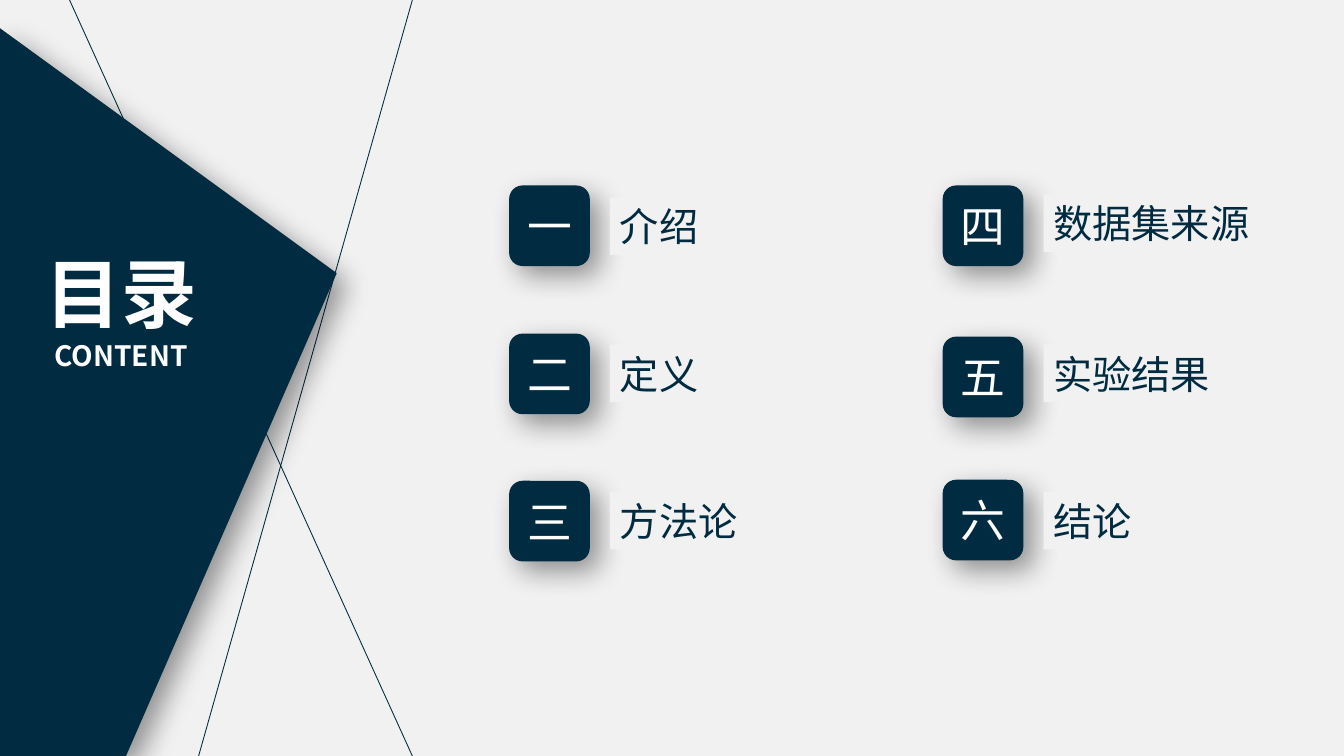
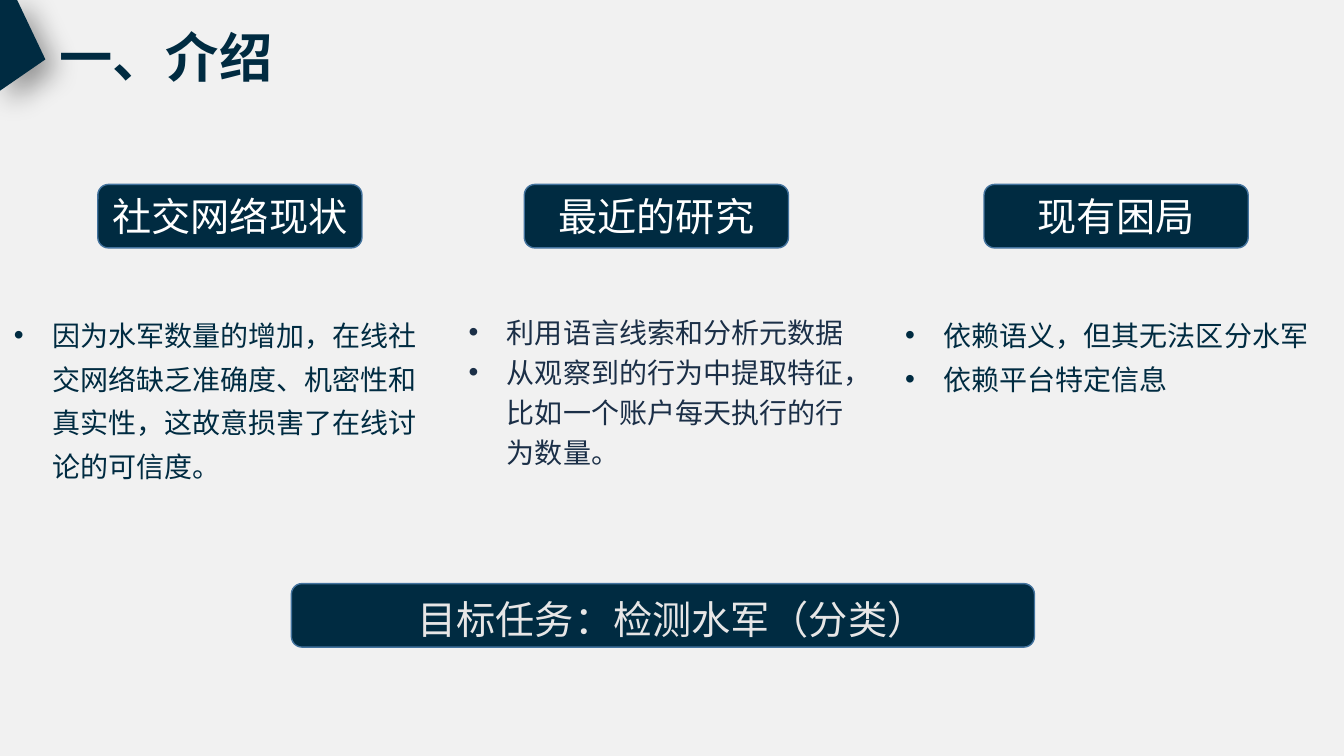
"""Build a contents slide and an introduction slide for a talk on detecting paid posters."""
from dataclasses import dataclass

from lxml import etree
from pptx import Presentation
from pptx.dml.color import RGBColor
from pptx.enum.shapes import MSO_CONNECTOR, MSO_SHAPE
from pptx.enum.text import MSO_ANCHOR, PP_ALIGN
from pptx.oxml import parse_xml
from pptx.oxml.ns import nsdecls, qn
from pptx.util import Inches, Pt

RECTANGLE, ROUNDED = MSO_SHAPE.RECTANGLE, MSO_SHAPE.ROUNDED_RECTANGLE
STRAIGHT = MSO_CONNECTOR.STRAIGHT
TOP, MIDDLE = MSO_ANCHOR.TOP, MSO_ANCHOR.MIDDLE
LEFT, CENTER = PP_ALIGN.LEFT, PP_ALIGN.CENTER


@dataclass(frozen=True)
class Theme:
    navy: str = "002B41"
    ink: str = "1B2F47"
    paper: str = "F1F1F1"
    white: str = "FFFFFF"
    silver: str = "E7E6E6"
    edge: str = "43739E"
    font: str = "Noto Sans CJK SC"
    number_font: str = "Calibri"
    cover: int = 54
    title: int = 38
    number: int = 32
    heading: int = 28
    body: int = 20


THEME = Theme()
WIDTH, HEIGHT = 13.33, 7.5
NO_INSETS = {"margin_left": 0, "margin_right": 0, "margin_top": 0, "margin_bottom": 0}
SHADOW = (
    f'<a:outerShdw {nsdecls("a")} blurRad="{Pt(20)}" dist="{Pt(10)}" dir="2700000" '
    'algn="tl" rotWithShape="0"><a:srgbClr val="000000"><a:alpha val="40000"/>'
    "</a:srgbClr></a:outerShdw>"
)


def paint(shape, fill=THEME.navy, edge=None, shadow=False):
    """Give a shape its fill, outline and shadow."""
    shape.fill.solid()
    shape.fill.fore_color.rgb = RGBColor.from_string(fill)
    if edge:
        shape.line.color.rgb = RGBColor.from_string(edge)
        shape.line.width = Pt(1)
    else:
        shape.line.fill.background()
    shape.shadow.inherit = False
    if shadow:
        shape.element.spPr.find(qn("a:effectLst")).append(parse_xml(SHADOW))


def write(shape, lines, color, font=THEME.font, bold=False, alignment=LEFT,
          spacing=None, bullet=False, **frame_format):
    """Fill a shape with (text, size) lines in one style."""
    frame = shape.text_frame
    for name, value in {"word_wrap": True, "vertical_anchor": MIDDLE, **frame_format}.items():
        setattr(frame, name, value)
    for index, (text, size) in enumerate(lines):
        paragraph = frame.add_paragraph() if index else frame.paragraphs[0]
        paragraph.alignment = alignment
        if spacing:
            paragraph.line_spacing = spacing
        if bullet:
            properties = paragraph._p.get_or_add_pPr()
            properties.set("marL", str(Inches(0.38)))
            properties.set("indent", str(-Inches(0.38)))
            etree.SubElement(properties, qn("a:buFont")).set("typeface", "Arial")
            etree.SubElement(properties, qn("a:buChar")).set("char", "•")
        run = paragraph.add_run()
        run.text = text
        for name, value in {"name": font, "size": Pt(size), "bold": bold}.items():
            setattr(run.font, name, value)
        run.font.color.rgb = RGBColor.from_string(color)
        etree.SubElement(run._r.get_or_add_rPr(), qn("a:ea")).set("typeface", font)


presentation = Presentation()
presentation.slide_width, presentation.slide_height = Inches(WIDTH), Inches(HEIGHT)
background = presentation.slide_master.background.fill
background.solid()
background.fore_color.rgb = RGBColor.from_string(THEME.paper)
blank = presentation.slide_layouts[6]
contents, introduction = [presentation.slides.add_slide(blank) for _ in range(2)]

for start, end in (((4.09, 0), (1.97, HEIGHT)), ((4.09, HEIGHT), (0.69, 0))):
    line = contents.shapes.add_connector(STRAIGHT, *map(Inches, start + end))
    line.line.color.rgb = RGBColor.from_string(THEME.navy)
    line.line.width = Pt(0.63)
    etree.SubElement(line._element.spPr, qn("a:effectLst"))

cover_wedge = ((1.25, HEIGHT), (0, HEIGHT), (0, 0.28), (3.34, 2.71))
corner_wedge = ((0.17, 0), (0, 0), (0, 0.9), (0.45, 0.59))
for slide, corners in ((contents, cover_wedge), (introduction, corner_wedge)):
    points = [(Inches(x), Inches(y)) for x, y in corners]
    builder = slide.shapes.build_freeform(*points[0])
    builder.add_line_segments(points[1:], close=True)
    paint(builder.convert_to_shape(), shadow=True)

cover_title = contents.shapes.add_textbox(*map(Inches, (0.24, 2.4, 1.92, 1.34)))
write(cover_title, [("目录", THEME.cover), ("CONTENT", THEME.body)], THEME.white,
      bold=True, alignment=CENTER)

BADGE, LABEL_OFFSET, LABEL_HEIGHT = 0.8, 1, 0.57
topics = (
    (5.05, (("一", "介绍", 1.84, 1.96), ("二", "定义", 3.31, 3.42),
            ("三", "方法论", 4.77, 4.88))),
    (9.35, (("四", "数据集来源", 1.84, 1.93), ("五", "实验结果", 3.34, 3.42),
            ("六", "结论", 4.76, 4.88))),
)
for left, entries in topics:
    for number, topic, badge_top, label_top in entries:
        badge = contents.shapes.add_shape(
            ROUNDED, *map(Inches, (left, badge_top, BADGE, BADGE)))
        paint(badge, shadow=True)
        write(badge, [(number, THEME.number)], THEME.white, font=THEME.number_font,
              alignment=CENTER, **NO_INSETS)
        label_width = 0.21 + 0.4 * len(topic)
        label = contents.shapes.add_shape(
            RECTANGLE, *map(Inches, (left + LABEL_OFFSET, label_top, label_width, LABEL_HEIGHT)))
        paint(label, fill=THEME.paper)
        write(label, [(topic, THEME.heading)], THEME.navy)

title = introduction.shapes.add_textbox(*map(Inches, (0.49, 0.19, 2.31, 0.74)))
write(title, [("一、介绍", THEME.title)], THEME.navy, bold=True, word_wrap=False)

PILL_TOP, PILL_WIDTH, PILL_HEIGHT, BODY_TOP = 1.83, 2.62, 0.63, 3.01
sections = (
    (0.97, "社交网络现状", 0.04, 4.34, 1.99, 1.3, THEME.navy,
     ("因为水军数量的增加，在线社交网络缺乏准确度、机密性和真实性，这故意损害了在线讨论的可信度。",)),
    (5.2, "最近的研究", 4.55, 3.93, 1.76, 1.2, THEME.ink,
     ("利用语言线索和分析元数据", "从观察到的行为中提取特征，比如一个账户每天执行的行为数量。")),
    (9.76, "现有困局", 8.88, 4.23, 0.97, 1.3, THEME.navy,
     ("依赖语义，但其无法区分水军", "依赖平台特定信息")),
)
for pill_left, heading, left, width, height, spacing, color, points in sections:
    pill = introduction.shapes.add_shape(
        ROUNDED, *map(Inches, (pill_left, PILL_TOP, PILL_WIDTH, PILL_HEIGHT)))
    paint(pill, edge=THEME.edge)
    write(pill, [(heading, THEME.heading)], THEME.white, alignment=CENTER, **NO_INSETS)
    body = introduction.shapes.add_textbox(*map(Inches, (left, BODY_TOP, width, height)))
    write(body, [(point, THEME.body) for point in points], color, spacing=spacing,
          bullet=True, vertical_anchor=TOP)

goal = introduction.shapes.add_shape(ROUNDED, *map(Inches, (2.89, 5.79, 7.37, PILL_HEIGHT)))
paint(goal, edge=THEME.edge)
goal_insets = {**NO_INSETS, "margin_left": Inches(0.18), "margin_top": Inches(0.07)}
write(goal, [("目标任务：检测水军（分类）", THEME.heading)], THEME.silver,
      alignment=CENTER, **goal_insets)

presentation.save("out.pptx")
